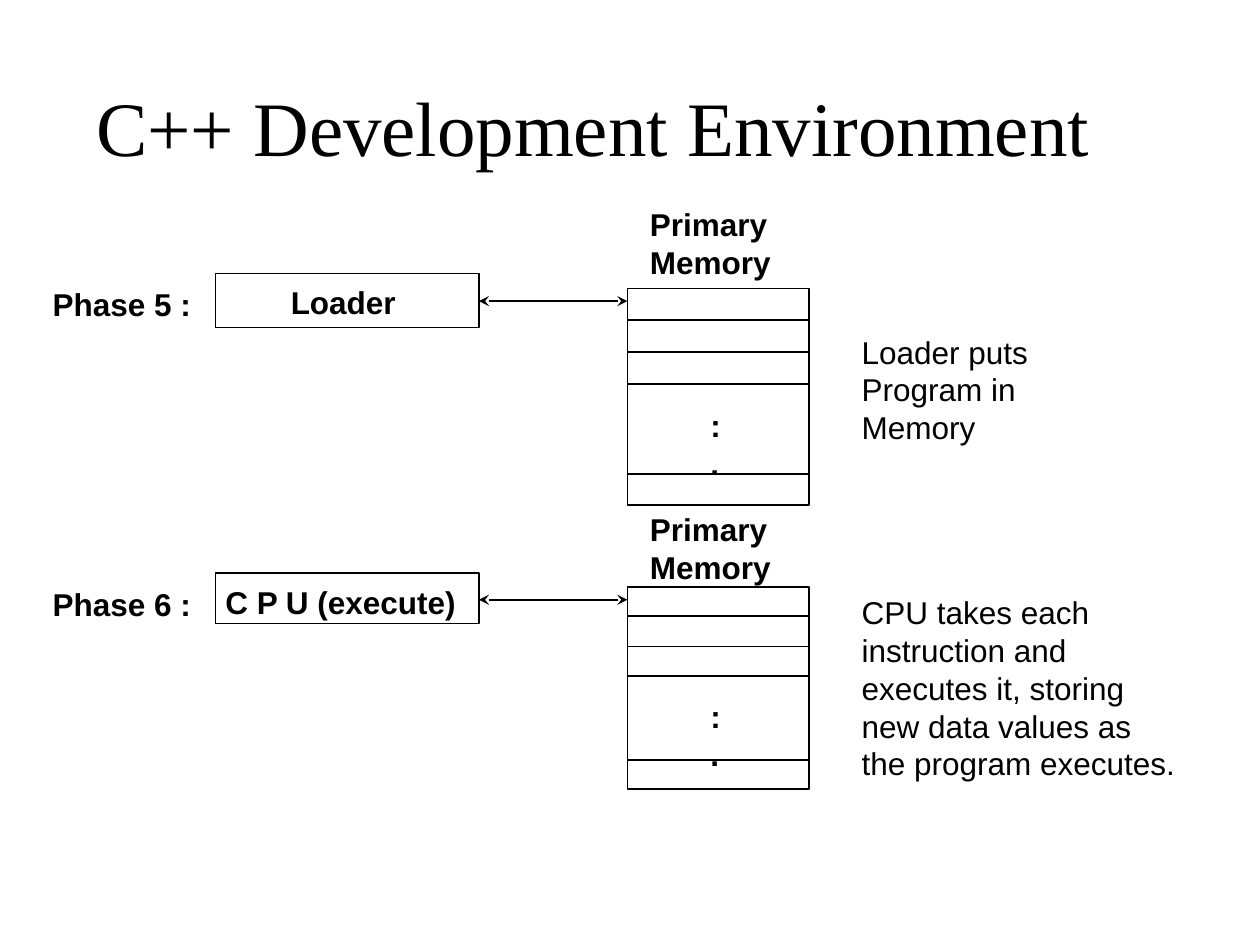
from lxml import etree
from pptx import Presentation
from pptx import util as u
from pptx.dml.color import RGBColor
from pptx.enum import shapes, text
from pptx.oxml.ns import qn

BLACK = RGBColor(0, 0, 0)
WHITE = RGBColor(255, 255, 255)
RULE = u.Pt(1)

# Columns of the diagram: left edge and width in inches
LABEL = (0.32, 1.3)
PROCESS = (1.71, 2.09)
MEMORY = (4.98, 1.44)
CAPTION = (5.06, 1.3)
DOTS = (5.54, 0.29)
NOTE = (6.74, 2.75)

# Cell borders and dots, as shares of the memory block's height
CELL_SHARES = (0.145, 0.294, 0.442, 0.856)
DOTS_SHARE = 0.513
LINE_HEIGHT = 0.3

PHASES = [
    dict(label="Phase 5 :", process="Loader", name_col=(2.21, 1.1),
         process_row=(2.17, 0.43), memory_row=(2.29, 1.72),
         caption_top=1.58, note_top=2.59,
         note=["Loader puts", "Program in", "Memory"]),
    dict(label="Phase 6 :", process="C P U (execute)", name_col=(1.69, 2.1),
         process_row=(4.55, 0.4), memory_row=(4.66, 1.6),
         caption_top=4.0, note_top=4.66,
         note=["CPU takes each", "instruction and", "executes it, storing",
               "new data values as", "the program executes."]),
]


def add_run(p, words, font, size, bold=False):
    r = p.add_run()
    r.text = words
    r.font.name = font
    r.font.size = u.Pt(size)
    r.font.bold = bold
    r.font.color.rgb = BLACK


def add_title(s, words):
    sp = s.shapes.title
    sp.left, sp.top = u.Inches(0.25), u.Inches(0.08)
    sp.width, sp.height = u.Inches(8.92), u.Inches(1.83)
    tf = sp.text_frame
    tf.vertical_anchor = text.MSO_ANCHOR.MIDDLE
    p = tf.paragraphs[0]
    p.alignment = text.PP_ALIGN.CENTER
    add_run(p, words, "Times New Roman", 44)


def add_text(s, col, top, lines, bold=True):
    height = LINE_HEIGHT * len(lines) + 0.1
    sp = s.shapes.add_textbox(u.Inches(col[0]), u.Inches(top),
                              u.Inches(col[1]), u.Inches(height))
    tf = sp.text_frame
    tf.word_wrap = True
    for i, line in enumerate(lines):
        p = tf.add_paragraph() if i else tf.paragraphs[0]
        add_run(p, line, "Arial", 18, bold)


def add_box(s, col, row):
    sp = s.shapes.add_shape(shapes.MSO_SHAPE.RECTANGLE,
                            u.Inches(col[0]), u.Inches(row[0]),
                            u.Inches(col[1]), u.Inches(row[1]))
    sp.shadow.inherit = False
    sp.fill.solid()
    sp.fill.fore_color.rgb = WHITE
    sp.line.color.rgb = BLACK
    sp.line.width = RULE


def add_rule(s, x1, x2, y, arrows=False):
    cx = s.shapes.add_connector(shapes.MSO_CONNECTOR.STRAIGHT,
                                u.Inches(x1), u.Inches(y),
                                u.Inches(x2), u.Inches(y))
    cx.line.color.rgb = BLACK
    cx.line.width = RULE
    if arrows:
        ln = cx.line._get_or_add_ln()
        for end in ("a:headEnd", "a:tailEnd"):
            etree.SubElement(ln, qn(end), type="stealth")
    etree.SubElement(cx._element.spPr, qn("a:effectLst"))


def add_memory(s, row, caption_top):
    top, height = row
    left, width = MEMORY
    add_box(s, MEMORY, row)
    for share in CELL_SHARES:
        add_rule(s, left, left + width, top + share * height)
    add_text(s, DOTS, top + DOTS_SHARE * height, [":", "."])
    add_text(s, CAPTION, caption_top, ["Primary", "Memory"])


def add_phase(s, phase):
    top = phase["process_row"][0]
    # Process box with its name and phase label
    add_box(s, PROCESS, phase["process_row"])
    add_text(s, phase["name_col"], top + 0.03, [phase["process"]])
    add_text(s, LABEL, top + 0.04, [phase["label"]])
    # Two-way link to the memory block
    add_rule(s, sum(PROCESS), MEMORY[0], phase["memory_row"][0] + 0.1, True)
    add_memory(s, phase["memory_row"], phase["caption_top"])
    # Explanation
    add_text(s, NOTE, phase["note_top"], phase["note"], bold=False)


def main():
    prs = Presentation()
    prs.slide_width, prs.slide_height = u.Inches(10), u.Inches(7.5)
    s = prs.slides.add_slide(prs.slide_layouts[5])
    add_title(s, "C++ Development Environment")
    for phase in PHASES:
        add_phase(s, phase)
    prs.save("out.pptx")


main()
